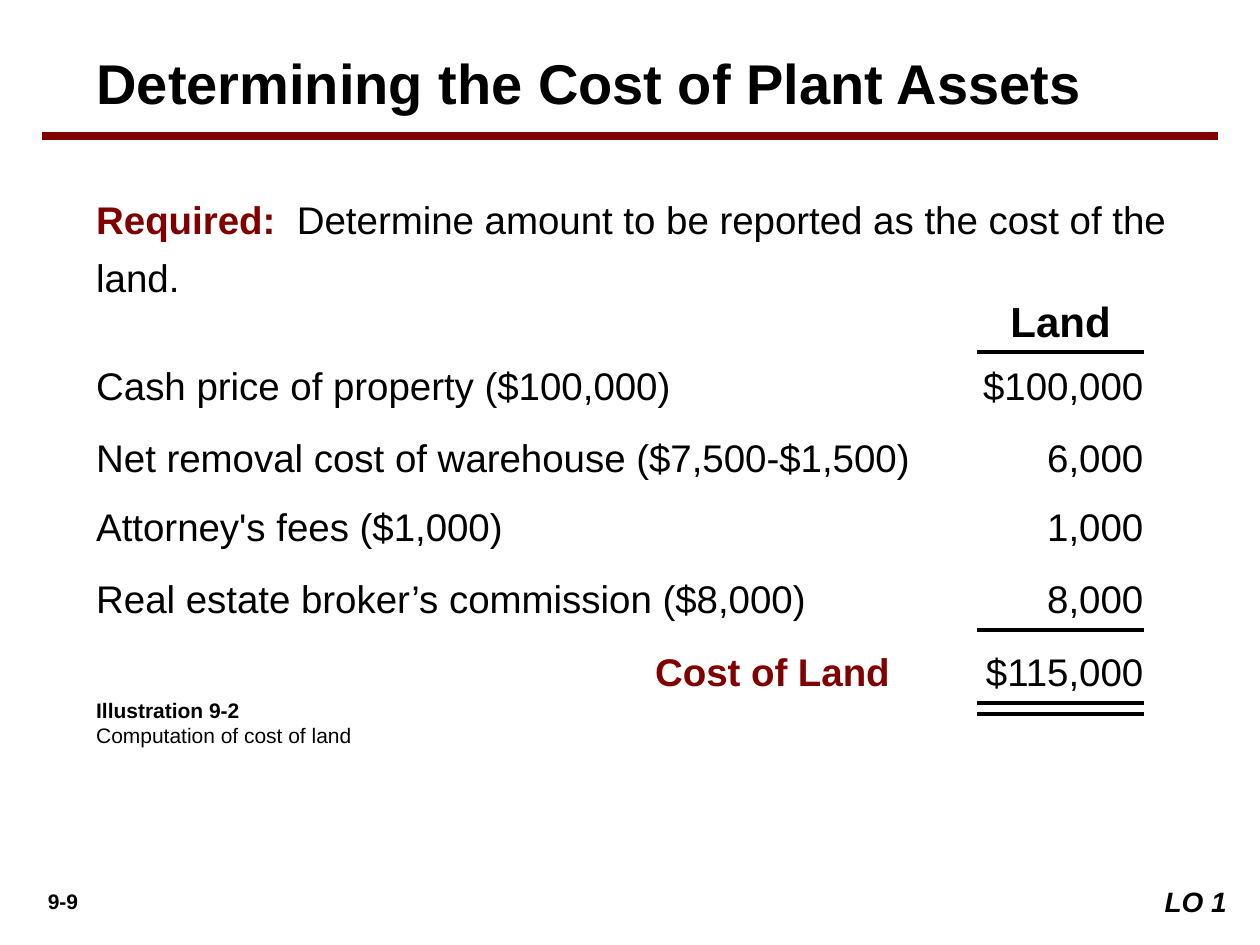
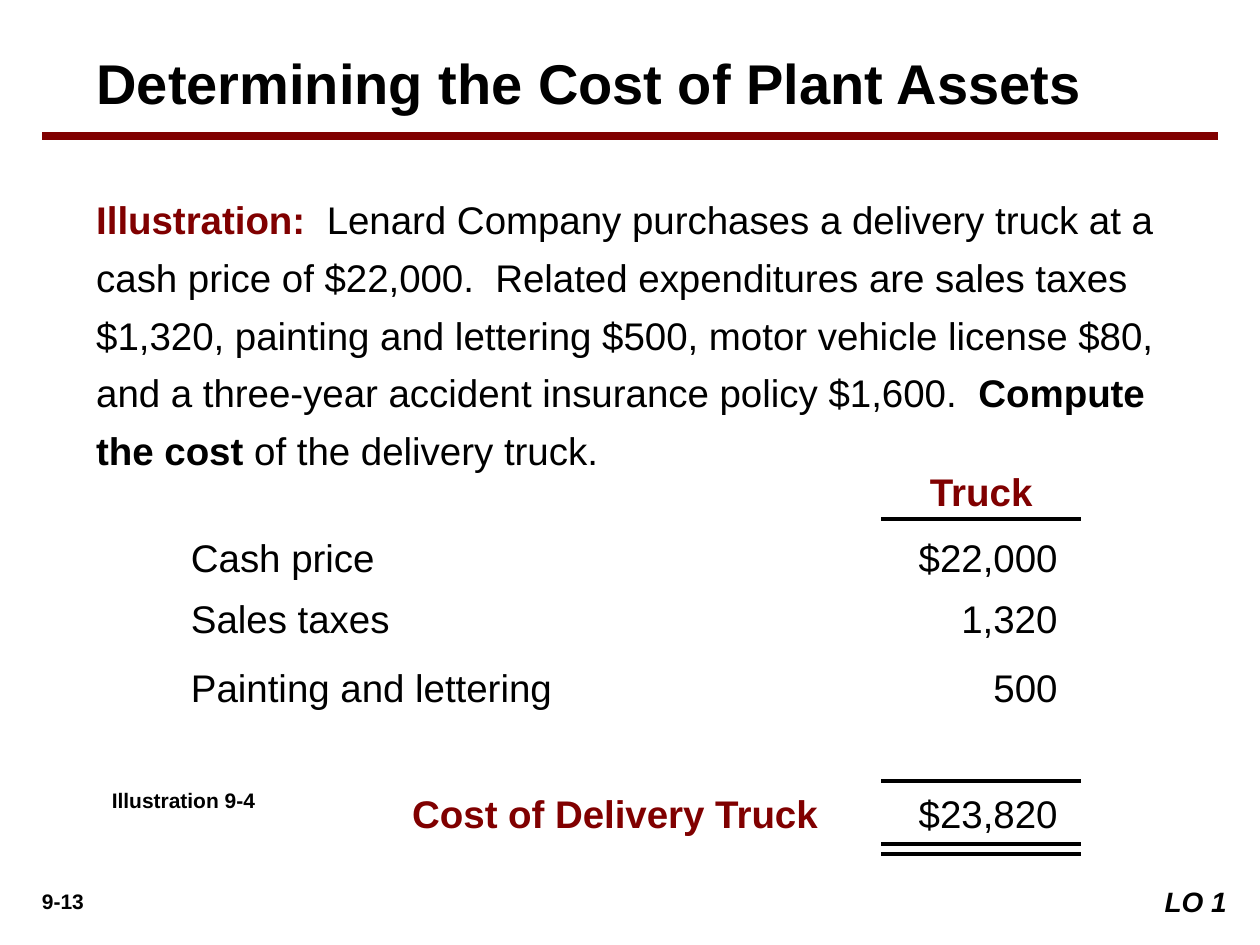
from lxml.etree import SubElement
from pptx import Presentation
from pptx.dml.color import RGBColor
from pptx.enum.shapes import MSO_CONNECTOR, MSO_SHAPE
from pptx.enum.text import MSO_ANCHOR, PP_ALIGN
from pptx.oxml.ns import qn
from pptx.util import Cm, Pt

BLACK, MAROON, WHITE = "000000", "800000", "FFFFFF"
FONT = "Arial"
BODY_SIZE = 22
MARGIN = 1.69
ROW_HEIGHT = 1.24
TITLE = "Determining the Cost of Plant Assets"
OBJECTIVE = "LO 1"

SLIDES = [
    {
        "page": "9-9",
        "question": [
            ("Required:  ", MAROON, True),
            ("Determine amount to be reported as the cost of the land.", BLACK, False),
        ],
        "question_box": (MARGIN, 3.6, 23.07, 2.59),
        "heading": ("Land", 24, BLACK),
        "heading_top": 5.84,
        "label_left": MARGIN,
        "label_width": 17.12,
        "amount_left": 19.08,
        "rows": [
            ("Cash price of property ($100,000)", "$100,000", 7.12),
            ("Net removal cost of warehouse ($7,500-$1,500)", "6,000", 8.57),
            ("Attorney's fees ($1,000)", "1,000", 9.96),
            ("Real estate broker’s commission ($8,000)", "8,000", 11.43),
        ],
        "total": ("Cost of Land", "$115,000", 12.9),
        "total_box": (12.9, 5.29),
        "rule_span": (19.69, 23.07),
        "rule_heights": [7.09, 12.7, 14.17, 14.4],
        "caption": [("Illustration 9-2", True), ("Computation of cost of land", False)],
        "caption_box": (MARGIN, 13.94, 5.72, 1.27),
        "caption_align": PP_ALIGN.LEFT,
    },
    {
        "page": "9-13",
        "question": [
            ("Illustration:", MAROON, True),
            ("  Lenard Company purchases a delivery truck at a cash price of $22,000.  "
             "Related expenditures are sales taxes $1,320, painting and lettering $500, "
             "motor vehicle license $80, and a three-year accident insurance policy "
             "$1,600.  ", BLACK, False),
            ("Compute the cost", BLACK, True),
            (" of the delivery truck.", BLACK, False),
        ],
        "question_box": (MARGIN, 3.6, 22.86, 6.07),
        "heading": ("Truck", 22, MAROON),
        "heading_top": 9.32,
        "label_left": 3.6,
        "label_width": 13.1,
        "amount_left": 17.35,
        "rows": [
            ("Cash price", "$22,000", 10.6),
            ("Sales taxes", "1,320", 11.83),
            ("Painting and lettering", "500", 13.21),
        ],
        "total": ("Cost of Delivery Truck", "$23,820", 15.75),
        "total_box": (7.41, 9.33),
        "rule_span": (17.76, 21.8),
        "rule_heights": [10.46, 15.75, 17.02, 17.22],
        "caption": [("Illustration 9-4", True)],
        "caption_box": (1.9, 15.75, 3.6, 0.76),
        "caption_align": PP_ALIGN.CENTER,
    },
]


def color(value):
    return RGBColor.from_string(value)


def style(font, size, value=BLACK, bold=False, italic=False):
    font.name = FONT
    font.size = Pt(size)
    font.bold = bold
    font.italic = italic
    font.color.rgb = color(value)


def add_box(slide, box):
    frame = slide.shapes.add_textbox(*map(Cm, box)).text_frame
    frame.word_wrap = True
    return frame


def add_line_of_text(slide, text, box, size=BODY_SIZE, value=BLACK, bold=False,
                     align=PP_ALIGN.LEFT, spacing=1.0):
    paragraph = add_box(slide, box).paragraphs[0]
    paragraph.text = text
    paragraph.alignment = align
    paragraph.line_spacing = spacing
    style(paragraph.font, size, value, bold)


def add_rule(slide, left, right, height, value=BLACK, width=2.25):
    rule = slide.shapes.add_connector(
        MSO_CONNECTOR.STRAIGHT, Cm(left), Cm(height), Cm(right), Cm(height))
    rule.line.color.rgb = color(value)
    rule.line.width = Pt(width)
    SubElement(rule._element.spPr, qn("a:effectLst"))


def add_frame(slide, page):
    title = slide.shapes.title
    title.left, title.top, title.width, title.height = map(Cm, (MARGIN, 0.85, 23.07, 1.55))
    title.text_frame.text = TITLE
    title.text_frame.vertical_anchor = MSO_ANCHOR.TOP
    paragraph = title.text_frame.paragraphs[0]
    paragraph.alignment = PP_ALIGN.LEFT
    style(paragraph.font, 32, bold=True)
    add_rule(slide, 0.85, 24.55, 2.75, MAROON, 4.5)
    add_line_of_text(slide, page, (0.21, 17.78, 2.12, 0.76), 12, bold=True,
                     align=PP_ALIGN.CENTER)

    objective = slide.shapes.add_shape(
        MSO_SHAPE.RECTANGLE, *map(Cm, (22.65, 17.7, 2.33, 0.94)))
    objective.shadow.inherit = False
    objective.fill.solid()
    objective.fill.fore_color.rgb = color(WHITE)
    objective.line.fill.background()
    objective.text_frame.text = OBJECTIVE
    objective.text_frame.vertical_anchor = MSO_ANCHOR.TOP
    paragraph = objective.text_frame.paragraphs[0]
    paragraph.alignment = PP_ALIGN.RIGHT
    style(paragraph.font, 16, bold=True, italic=True)


def add_question(slide, content):
    paragraph = add_box(slide, content["question_box"]).paragraphs[0]
    paragraph.line_spacing = 1.25
    for text, value, bold in content["question"]:
        run = paragraph.add_run()
        run.text = text
        style(run.font, BODY_SIZE, value, bold)


def add_computation(slide, content):
    left, right = content["rule_span"]
    heading, size, value = content["heading"]
    add_line_of_text(slide, heading, (left, content["heading_top"], right - left, 1.07),
                     size, value, True, PP_ALIGN.CENTER)

    def add_amount(amount, top):
        add_line_of_text(slide, amount, (content["amount_left"], top, 4.22, ROW_HEIGHT),
                         align=PP_ALIGN.RIGHT, spacing=1.05)

    for label, amount, top in content["rows"]:
        add_line_of_text(
            slide, label,
            (content["label_left"], top, content["label_width"], ROW_HEIGHT), spacing=1.05)
        add_amount(amount, top)

    label, amount, top = content["total"]
    total_left, total_width = content["total_box"]
    add_line_of_text(slide, label, (total_left, top, total_width, ROW_HEIGHT),
                     value=MAROON, bold=True, align=PP_ALIGN.RIGHT, spacing=1.05)
    add_amount(amount, top)
    for height in content["rule_heights"]:
        add_rule(slide, left, right, height)


def add_caption(slide, content):
    frame = add_box(slide, content["caption_box"])
    for index, (text, bold) in enumerate(content["caption"]):
        paragraph = frame.add_paragraph() if index else frame.paragraphs[0]
        paragraph.text = text
        paragraph.alignment = content["caption_align"]
        style(paragraph.font, 12, bold=bold)


def main():
    presentation = Presentation()
    presentation.slide_width, presentation.slide_height = Cm(25.4), Cm(19.05)
    for content in SLIDES:
        slide = presentation.slides.add_slide(presentation.slide_layouts[5])
        add_frame(slide, content["page"])
        add_question(slide, content)
        add_computation(slide, content)
        add_caption(slide, content)
    presentation.save("out.pptx")


if __name__ == "__main__":
    main()
